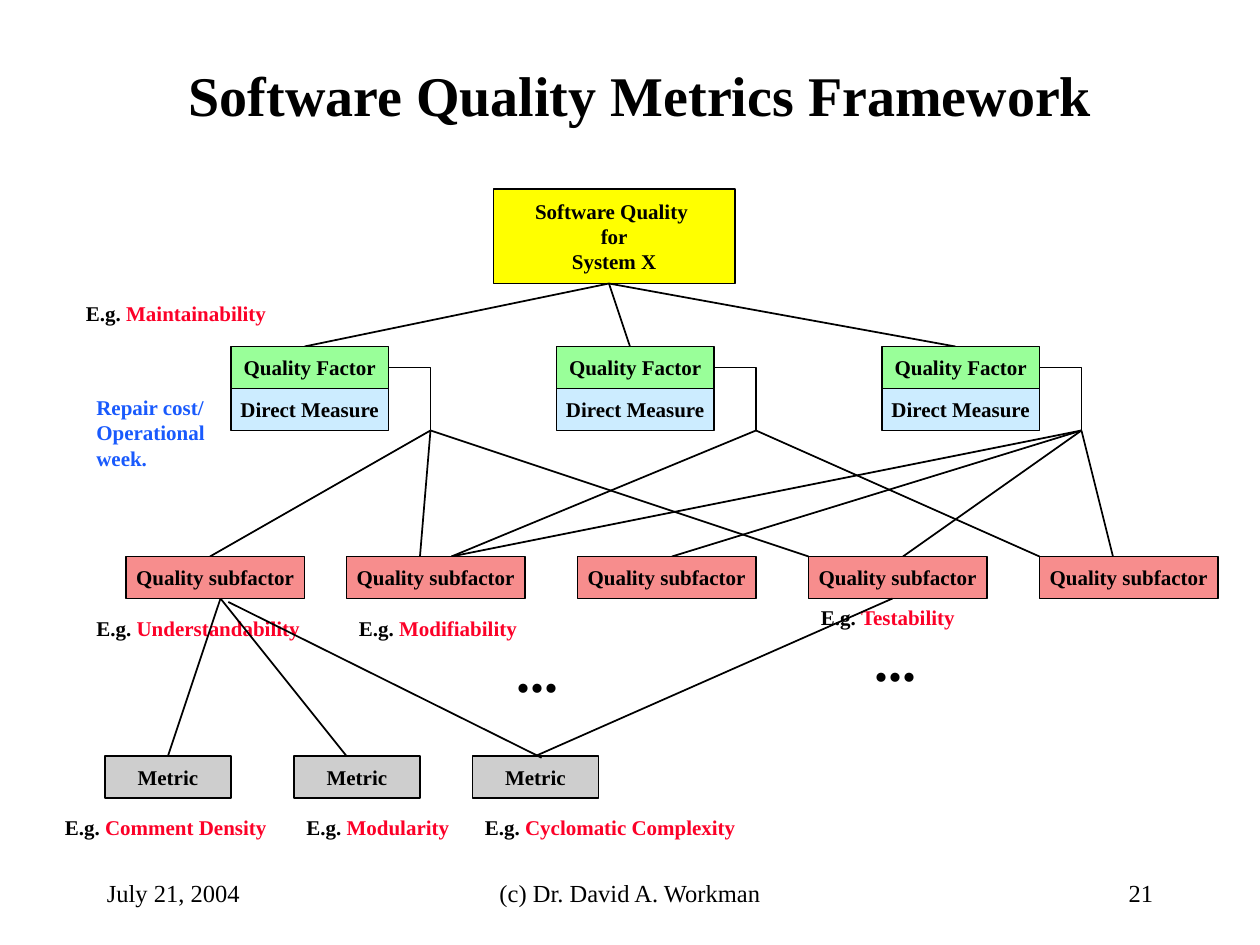
from lxml.etree import SubElement
from pptx import Presentation
from pptx.dml.color import RGBColor
from pptx.enum.shapes import MSO_CONNECTOR, MSO_SHAPE
from pptx.enum.text import MSO_ANCHOR, PP_ALIGN
from pptx.oxml.ns import qn
from pptx.util import Pt

FONT = "Times New Roman"
BLACK = RGBColor(0x00, 0x00, 0x00)
RED = RGBColor(0xFC, 0x01, 0x28)
BLUE = RGBColor(0x19, 0x5A, 0xFD)
YELLOW = RGBColor(0xFF, 0xFF, 0x00)
GREEN = RGBColor(0x99, 0xFF, 0x99)
SKY = RGBColor(0xCC, 0xEC, 0xFF)
SALMON = RGBColor(0xF7, 0x8D, 0x8D)
GRAY = RGBColor(0xCE, 0xCE, 0xCE)

ROW = 24


def set_font(font, size, bold, color=None):
    font.name = FONT
    font.size = Pt(size)
    font.bold = bold
    if color is not None:
        font.color.rgb = color


def write_lines(frame, lines, size, bold, color, align):
    for i, line in enumerate(lines):
        paragraph = frame.paragraphs[0] if i == 0 else frame.add_paragraph()
        paragraph.text = line
        paragraph.alignment = align
        set_font(paragraph.font, size, bold, color)


def add_node(slide, box, lines, fill):
    node = slide.shapes.add_shape(MSO_SHAPE.RECTANGLE, *map(Pt, box))
    node.shadow.inherit = False
    node.fill.solid()
    node.fill.fore_color.rgb = fill
    node.line.color.rgb = BLACK
    node.line.width = Pt(1)
    frame = node.text_frame
    frame.word_wrap = False
    frame.vertical_anchor = MSO_ANCHOR.MIDDLE
    write_lines(frame, lines, 12, True, BLACK, PP_ALIGN.CENTER)
    return node


def add_link(slide, start, end):
    link = slide.shapes.add_connector(MSO_CONNECTOR.STRAIGHT, *map(Pt, start + end))
    link.line.color.rgb = BLACK
    link.line.width = Pt(1)
    SubElement(link._element.spPr, qn("a:effectLst"))
    return link


def add_frame(slide, box):
    frame = slide.shapes.add_textbox(*map(Pt, box)).text_frame
    frame.word_wrap = True
    return frame


def add_label(slide, box, lines, size=12, color=BLACK):
    write_lines(add_frame(slide, box), lines, size, True, color, PP_ALIGN.LEFT)


def add_example(slide, left, top, width, example):
    paragraph = add_frame(slide, (left, top, width, 21.6)).paragraphs[0]
    set_font(paragraph.font, 12, True)
    for text, color in (("E.g. ", BLACK), (example, RED)):
        run = paragraph.add_run()
        run.text = text
        run.font.color.rgb = color


def add_banner(slide, box, text, size, bold, align):
    frame = add_frame(slide, box)
    frame.vertical_anchor = MSO_ANCHOR.MIDDLE
    write_lines(frame, [text], size, bold, BLACK, align)


def add_system(slide, box, factor_tops):
    left, top, width, height = box
    add_node(slide, box, ["Software Quality ", "for", "System X"], YELLOW)
    for factor_top in factor_tops:
        add_link(slide, (left + width / 2 - 3, top + height), factor_top)


def add_factor(slide, box, subfactor_xs, subfactor_y):
    left, top, width, height = box
    add_node(slide, (left, top, width, ROW), ["Quality Factor"], GREEN)
    add_node(slide, (left, top + ROW, width, ROW), ["Direct Measure"], SKY)
    right, middle, bottom = left + width, top + ROW / 2, top + height
    hub_x = right + ROW
    builder = slide.shapes.build_freeform(Pt(right), Pt(middle))
    builder.add_line_segments(
        [(Pt(hub_x), Pt(middle)), (Pt(hub_x), Pt(bottom))], close=False)
    elbow = builder.convert_to_shape()
    elbow.shadow.inherit = False
    elbow.fill.background()
    elbow.line.color.rgb = BLACK
    elbow.line.width = Pt(1)
    for x in subfactor_xs:
        add_link(slide, (hub_x, bottom), (x, subfactor_y))


def add_subfactors(slide, box):
    left, top, width, height = box
    for x in (left, *(left + 126 + 132 * i for i in range(4))):
        add_node(slide, (x, top, width, height), ["Quality subfactor"], SALMON)
    below = top + height
    add_example(slide, left - 24, below + 6, 138, "Understandability")
    add_example(slide, left + 126, below + 6, 112, "Modifiability")
    add_example(slide, left + 390, below, 100, "Testability")
    add_label(slide, (left + 216, below + 18, 46, 46), ["..."], 32)
    add_label(slide, (left + 420.5, below + 12, 46, 46), ["..."], 32)


def add_metrics(slide, box, subfactor_bottom):
    left, top, width, height = box
    metrics = [add_node(slide, (left + offset, top, width, height), ["Metric"], GRAY)
               for offset in (0, 108, 210)]
    density_top = (left + width / 2, top)
    complexity_top = (left + 210 + width / 2, top)
    links = [add_link(slide, (126, subfactor_bottom), density_top),
             add_link(slide, (510, subfactor_bottom), complexity_top)]
    for link, metric in zip(links, (metrics[0], metrics[2])):
        link.end_connect(metric, 0)
    add_link(slide, (126, subfactor_bottom), (198, top))
    add_link(slide, (130.5, subfactor_bottom + 2), (309.5, top + 1))
    below = top + height + 6
    add_example(slide, left - 30, below, 136, "Comment Density")
    add_example(slide, left + 108, below, 102, "Modularity")
    add_example(slide, left + 210, below, 166, "Cyclomatic Complexity")


def add_footer(slide, box):
    left, top, width, height = box
    add_banner(slide, (left, top, 150, height), "July 21, 2004", 14, False, PP_ALIGN.LEFT)
    add_banner(slide, (left + 192, top, 228, height), "(c) Dr. David A. Workman",
               14, False, PP_ALIGN.CENTER)
    add_banner(slide, (left + width - 150, top, 150, height), "21", 14, False, PP_ALIGN.RIGHT)


def main():
    deck = Presentation()
    deck.slide_width, deck.slide_height = Pt(720), Pt(540)
    slide = deck.slides.add_slide(deck.slide_layouts[6])

    add_banner(slide, (60, 30, 612, 48), "Software Quality Metrics Framework",
               32, True, PP_ALIGN.CENTER)
    factor_links = [(120, 240, 462), (258, 594), (258, 384, 516, 636)]
    factor_boxes = [(132 + 186 * i, 198, 90, 2 * ROW) for i in range(3)]
    factor_tops = [(left + width / 2 - 3, top) for left, top, width, _ in factor_boxes]
    add_system(slide, (282, 108, 138, 54), factor_tops)
    for box, subfactor_xs in zip(factor_boxes, factor_links):
        add_factor(slide, box, subfactor_xs, 318)
    add_example(slide, 42, 168, 126, "Maintainability")
    add_label(slide, (48, 222, 84, 50.5), ["Repair cost/", "Operational", "week."], color=BLUE)
    add_subfactors(slide, (72, 318, 102, ROW))
    add_metrics(slide, (60, 432, 72, ROW), 342)
    add_footer(slide, (54, 492, 612, 36))

    deck.save("out.pptx")


if __name__ == "__main__":
    main()
